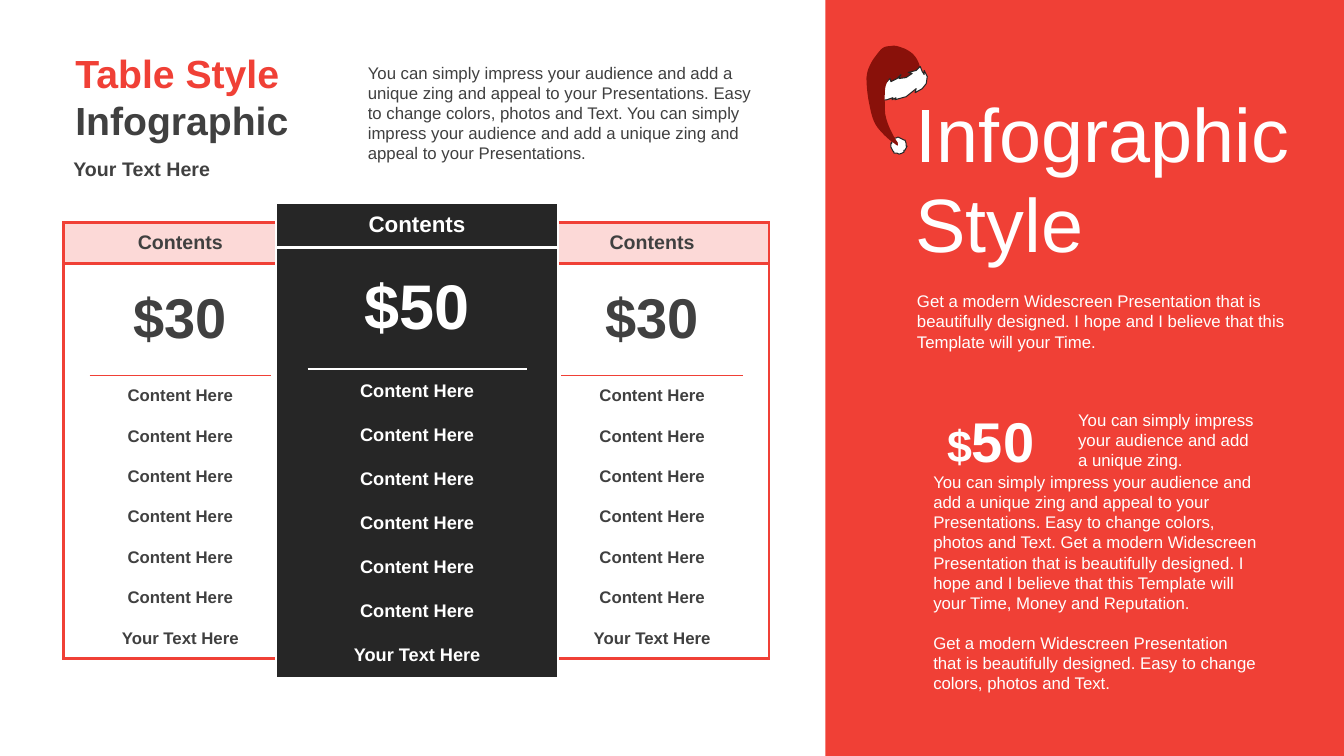
from dataclasses import dataclass

import pptx
import pptx.dml.color
import pptx.enum.shapes
import pptx.enum.text
import pptx.oxml
import pptx.oxml.ns
import pptx.util

Cm = pptx.util.Cm
Pt = pptx.util.Pt
ALIGN = pptx.enum.text.PP_ALIGN
ANCHOR = pptx.enum.text.MSO_ANCHOR


@dataclass(frozen=True)
class Theme:
    font: str = "Arial"
    red: str = "F04036"
    pale: str = "FCD9D7"
    white: str = "FFFFFF"
    black: str = "262626"
    grey: str = "404040"
    hat: str = "89110A"
    hero: int = 54
    heading: int = 28
    label: int = 14
    body: int = 12
    price: int = 40
    currency: int = 32


@dataclass(frozen=True)
class PlanStyle:
    header_fill: str
    fill: str
    ink: str
    edge: str
    edge_width: float
    header_rule: float
    sizes: tuple
    widths: tuple
    heights: tuple
    margins: tuple


THEME = Theme()
PLAIN = PlanStyle(THEME.pale, THEME.white, THEME.grey, THEME.red, 2.25, 2.25,
                  (14, 40, 12), (0.66, 4.57, 0.66), (1.03, 2.82, 1.02), (0.2, 0.1))
FEATURED = PlanStyle(THEME.black, THEME.black, THEME.white, THEME.white, 1.5, 2.25,
                     (16, 45, 13), (0.79, 5.52, 0.79), (1.12, 3.07, 1.11), (0.23, 0.13))
FEATURES = ["Content Here"] * 6 + ["Your Text Here"]

# Hat outlines in hundredths of an inch; curves list a start, then cubic triples.
CROWN = [(864, 82), (863, 81), (862, 81), (860, 80), (859, 72), (863, 64), (867, 58),
         (871, 53), (874, 47), (880, 46), (886, 46), (886, 44), (894, 47),
         (903, 50), (910, 55), (913, 67), (908, 71), (903, 76), (897, 81),
         (891, 81), (883, 81), (878, 82), (872, 82), (869, 82), (864, 82)]
TAIL = [(887, 142), (886, 142), (870, 129), (867, 120), (863, 111), (859, 86), (860, 77),
        (860, 68), (880, 57), (884, 58), (889, 59), (883, 76), (880, 82),
        (877, 87), (878, 99), (878, 109), (878, 119), (885, 133), (891, 142),
        (890, 143), (893, 147), (887, 142)]
POMPOM = [(884, 146), (884, 143), (885, 142), (884, 142), (885, 141), (886, 139), (887, 137),
          (889, 137), (891, 136), (893, 137), (895, 138), (897, 139), (898, 139), (899, 142),
          (899, 145), (900, 145), (898, 149), (897, 149), (897, 151), (895, 152), (892, 153),
          (890, 152), (887, 152), (887, 151), (886, 150)]
TRIM = [(917, 70), (917, 74), (915, 71), (913, 66), (909, 70), (901, 72), (905, 73),
        (899, 77), (892, 78), (894, 74), (890, 78), (884, 81), (883, 78), (878, 83),
        (881, 80), (876, 82), (870, 83), (865, 82), (863, 80), (862, 84), (864, 88),
        (863, 88), (869, 98), (867, 96), (869, 99), (873, 100), (880, 99), (886, 97),
        (885, 99), (889, 97), (888, 99), (899, 96), (909, 88), (908, 92), (915, 88),
        (919, 83), (920, 76)]


def rgb(color):
    return pptx.dml.color.RGBColor.from_string(color)


def paint(target, color):
    target.fill.solid()
    target.fill.fore_color.rgb = rgb(color)


def set_font(font, size, color, bold=False):
    font.name = THEME.font
    font.size = Pt(size)
    font.bold = bold
    font.color.rgb = rgb(color)


def place(shape, left, top, width, height):
    shape.left, shape.top, shape.width, shape.height = map(Cm, (left, top, width, height))


def write(box, lines, size, colors, bold=False, anchor=ANCHOR.TOP, gap=0):
    """Fill a box with one paragraph per line; colors holds one colour per line."""
    frame = box.text_frame
    frame.word_wrap = True
    frame.auto_size = pptx.enum.text.MSO_AUTO_SIZE.NONE
    frame.vertical_anchor = anchor
    for index, (line, color) in enumerate(zip(lines, colors)):
        para = frame.add_paragraph() if index else frame.paragraphs[0]
        para.text = line
        para.alignment = ALIGN.LEFT
        if index and gap:
            para.space_before = Pt(gap)
        set_font(para.font, size, color, bold)


def add_text(page, area, lines, size, colors, **options):
    box = page.shapes.add_textbox(*map(Cm, area))
    write(box, lines, size, colors, **options)


def add_price(page, area, currency, amount):
    box = page.shapes.add_textbox(*map(Cm, area))
    box.text_frame.word_wrap = True
    box.text_frame.vertical_anchor = ANCHOR.MIDDLE
    para = box.text_frame.paragraphs[0]
    para.alignment = ALIGN.CENTER
    for text, size in ((currency, THEME.currency), (amount, THEME.price)):
        span = para.add_run()
        span.text = text
        set_font(span.font, size, THEME.white, True)


def set_borders(cell, color, widths):
    """Draw the sides named in widths (L, R, T, B) and hide the others."""
    properties = cell._tc.get_or_add_tcPr()
    for index, side in enumerate("LRTB"):
        width = widths.get(side, 0)
        fill = (f'<a:solidFill><a:srgbClr val="{color}"/></a:solidFill>'
                if width else "<a:noFill/>")
        properties.insert(index, pptx.oxml.parse_xml(
            f'<a:ln{side} {pptx.oxml.ns.nsdecls("a")} w="{int(Pt(width))}">{fill}</a:ln{side}>'))


def cell_borders(row, column, last, style):
    edge = style.edge_width
    widths = {}
    if column == 0:
        widths["L"] = edge
    if column == 2 or row in (0, 1, last):
        widths["R"] = edge
    if row == 0:
        widths.update(T=edge, B=style.header_rule)
    elif row == 1:
        widths["T"] = style.header_rule
    elif row == last:
        widths["B"] = edge
    if column == 1 and row == 2:
        widths["T"] = 1.5
    return widths


def add_plan(page, left, top, price, style):
    entries = ["Contents", price] + FEATURES
    last = len(entries) - 1
    heights = style.heights[:2] + style.heights[2:] * len(FEATURES)
    table = page.shapes.add_table(len(entries), 3, Cm(left), Cm(top),
                                  Cm(sum(style.widths)), Cm(sum(heights))).table
    table.first_row = table.horz_banding = False
    for column, width in zip(table.columns, style.widths):
        column.width = Cm(width)
    for row, (entry, height) in enumerate(zip(entries, heights)):
        table.rows[row].height = Cm(height)
        merged = row in (0, 1, last)
        if merged:
            table.cell(row, 0).merge(table.cell(row, 2))
        for column in range(3):
            cell = table.cell(row, column)
            paint(cell, style.fill if row else style.header_fill)
            set_borders(cell, style.edge, cell_borders(row, column, last, style))
            cell.vertical_anchor = ANCHOR.MIDDLE
            cell.margin_left = cell.margin_right = Cm(style.margins[0])
            cell.margin_top = cell.margin_bottom = Cm(style.margins[1])
            para = cell.text_frame.paragraphs[0]
            if column == (0 if merged else 1):
                para.text = entry
                para.alignment = ALIGN.CENTER
            set_font(para.font, style.sizes[min(row, 2)], style.ink, True)


def trace_curve(points, steps=8):
    """Turn a chain of cubic curves into a list of corner points."""
    corners = [points[0]]
    for start in range(0, len(points) - 1, 3):
        curve = points[start:start + 4]
        for step in range(1, steps + 1):
            t = step / steps
            weights = ((1 - t) ** 3, 3 * t * (1 - t) ** 2, 3 * t * t * (1 - t), t ** 3)
            corners.append(tuple(sum(weight * point[axis] for weight, point in zip(weights, curve))
                                 for axis in (0, 1)))
    return corners


def add_hat(page):
    group = page.shapes.add_group_shape()
    parts = ((trace_curve(CROWN), THEME.hat, False), (POMPOM, THEME.white, True),
             (TRIM, THEME.white, True), (trace_curve(TAIL), THEME.hat, False))
    for corners, color, outlined in parts:
        first, *others = [(x * 10, y * 10) for x, y in corners]
        builder = group.shapes.build_freeform(*first, scale=Cm(2.54) / 1000)
        builder.add_line_segments(others, close=True)
        part = builder.convert_to_shape()
        part.shadow.inherit = False
        paint(part, color)
        if outlined:
            part.line.color.rgb = rgb(THEME.black)
            part.line.width = Pt(0.75)
        else:
            part.line.fill.background()


def add_panel(page, title):
    panel = page.shapes.add_shape(pptx.enum.shapes.MSO_SHAPE.RECTANGLE,
                                  Cm(20.8), Cm(0), Cm(13.07), Cm(19.05))
    panel.shadow.inherit = False
    paint(panel, THEME.red)
    panel.line.fill.background()
    title.element.addprevious(panel.element)


def main():
    deck = pptx.Presentation()
    deck.slide_width, deck.slide_height = Cm(33.87), Cm(19.05)
    page = deck.slides.add_slide(deck.slide_layouts[5])
    white, grey = [THEME.white], [THEME.grey]

    title = page.shapes.title
    add_panel(page, title)
    place(title, 22.81, 2.03, 10.41, 4.88)
    write(title, ["Infographic", "Style"], THEME.hero, white * 2, anchor=ANCHOR.MIDDLE)
    add_text(page, (22.86, 7.21, 10.36, 1.8),
             ["Get a modern Widescreen Presentation that is beautifully designed. "
              "I hope and I believe that this Template will your Time."], THEME.body, white)
    add_hat(page)

    add_plan(page, 1.6, 5.61, "$30", PLAIN)
    add_plan(page, 13.49, 5.61, "$30", PLAIN)
    add_plan(page, 6.96, 5.11, "$50", FEATURED)

    add_text(page, (1.6, 3.84, 7.52, 0.86), ["Your Text Here"], THEME.label, grey, bold=True)
    impress = ("You can simply impress your audience and add a unique zing "
               "and appeal to your Presentations.")
    add_text(page, (9.02, 1.45, 10.36, 2.82),
             [f"{impress} Easy to change colors, photos and Text. {impress}"], THEME.body, grey)
    add_text(page, (1.65, 1.12, 7.52, 2.64), ["Table Style", "Infographic"],
             THEME.heading, [THEME.red, THEME.grey], bold=True)
    add_price(page, (22.68, 10.11, 4.57, 1.96), "$", "50")
    add_text(page, (26.92, 10.19, 5.08, 1.8),
             ["You can simply impress your audience and add a unique zing."], THEME.body, white)
    add_text(page, (23.27, 11.76, 8.71, 5.89),
             [f"{impress} Easy to change colors, photos and Text. Get a modern Widescreen "
              "Presentation that is beautifully designed. I hope and I believe that this "
              "Template will your Time, Money and Reputation.",
              "Get a modern Widescreen Presentation that is beautifully designed. "
              "Easy to change colors, photos and Text."], THEME.body, white * 2, gap=14)
    deck.save("out.pptx")


if __name__ == "__main__":
    main()
